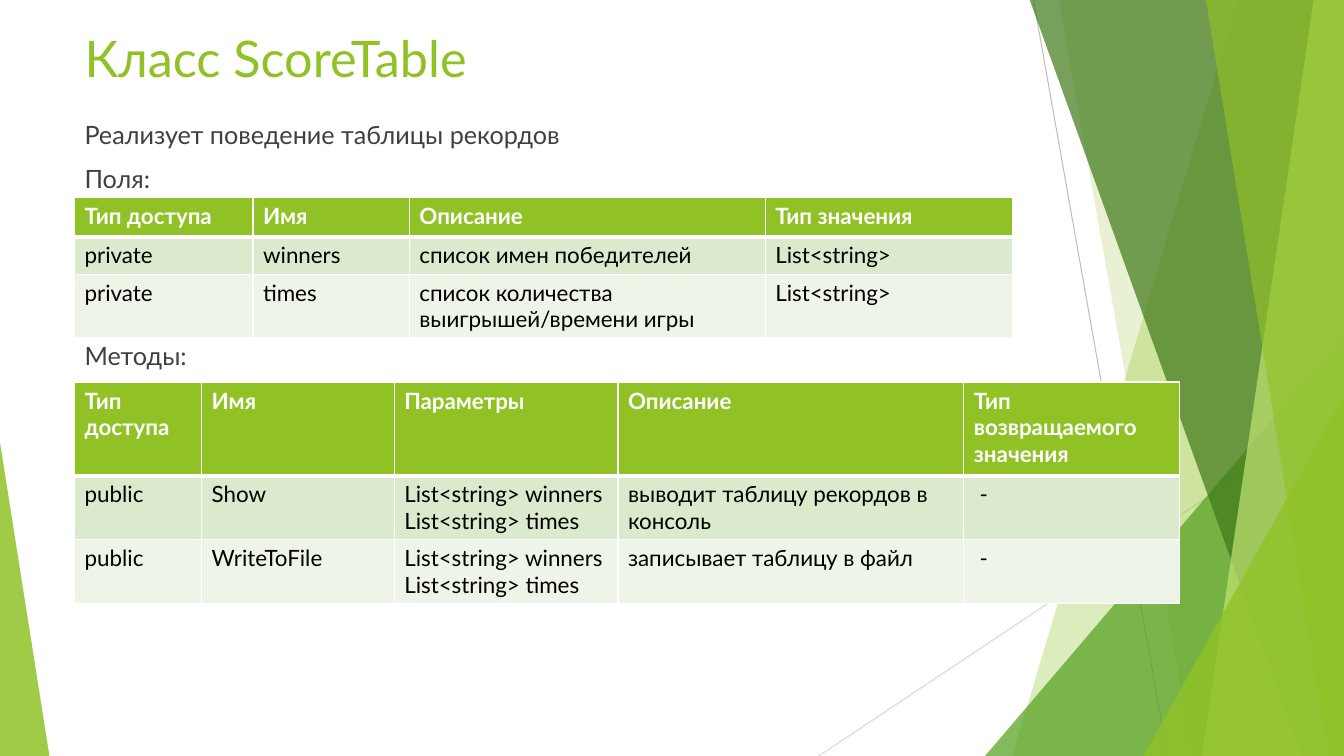
from lxml import etree
from pptx import Presentation
from pptx.dml.color import RGBColor
from pptx.enum import shapes, text
from pptx.oxml import ns
from pptx.util import Inches, Pt

THEME = {
    "font": "Lato",
    "accent": "90C226", "body": "404040", "white": "FFFFFF", "black": "000000",
    "bands": ["DBE9CD", "EEF4E8"],
    "title_size": 36, "body_size": 18, "table_size": 16,
    "border": 1, "header_border": 3,
}
WIDTH, HEIGHT = 13.33, 7.5
LEFT = 0.74

TITLE = [("Класс ScoreTable", 0)]
# Paragraph text and space before it in points; the last gap leaves room for the fields table
BODY = [("Реализует поведение таблицы рекордов", 0), ("Поля:", 10), ("Методы:", 105)]

FIELDS = {
    "top": 1.96,
    "columns": [1.77, 1.55, 3.53, 2.45],
    "heights": [0.39, 0.37, 0.63],
    "rows": [
        ["Тип доступа", "Имя", "Описание", "Тип значения"],
        ["private", "winners", "список имен победителей", "List<string>"],
        ["private", "times", "список количества выигрышей/времени игры", "List<string>"],
    ],
}
METHODS = {
    "top": 3.79,
    "columns": [1.26, 1.91, 2.22, 3.43, 2.14],
    "heights": [0.93, 0.63, 0.63],
    "rows": [
        ["Тип доступа", "Имя", "Параметры", "Описание", "Тип возвращаемого значения"],
        ["public", "Show", "List<string> winners List<string> times",
         "выводит таблицу рекордов в консоль", " -"],
        ["public", "WriteToFile", "List<string> winners\nList<string> times",
         "записывает таблицу в файл", " -"],
    ],
}

# Start, end, colour
RAYS = [((10.25, 0), (11.58, HEIGHT), "BFBFBF"), ((WIDTH, 4.03), (8.12, HEIGHT), "D9D9D9")]
# Back to front. Facet: top x, bottom x. Triangle: left, top, width, apex. Then colour, opacity %
DECOR = [
    ("facet", (12.28, 10.04), "90C226", 30),
    ("facet", (10.5, 11.83), "90C226", 20),
    ("triangle", (9.77, 3.33, 3.56, 1), "54A021", 72),
    ("facet", (10.21, 12.91), "3F7819", 70),
    ("facet", (13.03, 11.92), "C0E474", 70),
    ("facet", (11.96, 13.18), "90C226", 65),
    ("triangle", (11.34, 3.93, 1.99, 1), "90C226", 80),
    ("triangle", (0, 4.39, 0.49, 0), "90C226", 85),
]


def inches(*values):
    return [Inches(value) for value in values]


def add_ray(slide, start, end, color):
    ray = slide.shapes.add_connector(
        shapes.MSO_CONNECTOR.STRAIGHT, *inches(*start, *end))
    ray.line.color.rgb = RGBColor.from_string(color)
    ray.line.width = Pt(0.75)
    etree.SubElement(ray.element.spPr, ns.qn("a:effectLst"))


def add_facet(slide, top_x, bottom_x):
    """Four-sided outline that reaches the right edge of the slide."""
    builder = slide.shapes.build_freeform(*inches(top_x, -0.01), scale=1.0)
    corners = [(WIDTH, -0.01), (WIDTH, HEIGHT), (bottom_x, HEIGHT)]
    builder.add_line_segments([inches(*corner) for corner in corners], close=True)
    return builder.convert_to_shape()


def add_triangle(slide, left, top, width, apex):
    triangle = slide.shapes.add_shape(
        shapes.MSO_SHAPE.ISOSCELES_TRIANGLE, *inches(left, top, width, HEIGHT - top))
    triangle.adjustments[0] = apex
    return triangle


def paint(shape, color, opacity):
    shape.shadow.inherit = False
    shape.line.fill.background()
    shape.fill.solid()
    shape.fill.fore_color.rgb = RGBColor.from_string(color)
    color_node = shape.element.spPr.find(".//" + ns.qn("a:srgbClr"))
    etree.SubElement(color_node, ns.qn("a:alpha"), val=str(opacity * 1000))


def style_paragraph(paragraph, size, color, bold=False):
    values = {"name": THEME["font"], "size": Pt(size), "bold": bold}
    for name, value in values.items():
        setattr(paragraph.font, name, value)
    paragraph.font.color.rgb = RGBColor.from_string(color)


def add_text(slide, box, lines, size, color):
    frame = slide.shapes.add_textbox(*inches(*box)).text_frame
    frame.word_wrap = True
    frame.vertical_anchor = text.MSO_ANCHOR.TOP
    frame.text = "\n".join(line for line, _ in lines)
    for paragraph, (_, space) in zip(frame.paragraphs, lines):
        paragraph.space_before = Pt(space)
        style_paragraph(paragraph, size, color)


def add_borders(cell, widths):
    properties = cell._tc.get_or_add_tcPr()
    for side, width in widths.items():
        line = etree.SubElement(properties, ns.qn("a:ln" + side), w=str(Pt(width)))
        fill = etree.SubElement(line, ns.qn("a:solidFill"))
        etree.SubElement(fill, ns.qn("a:srgbClr"), val=THEME["white"])


def add_table(slide, content):
    rows, columns, heights = content["rows"], content["columns"], content["heights"]
    box = inches(LEFT, content["top"], sum(columns), sum(heights))
    table = slide.shapes.add_table(len(rows), len(columns), *box).table
    for column, width in zip(table.columns, columns):
        column.width = Inches(width)
    for index, (row, height) in enumerate(zip(table.rows, heights)):
        row.height = Inches(height)
        header = index == 0
        fill = THEME["accent"] if header else THEME["bands"][(index - 1) % 2]
        widths = dict.fromkeys("LRTB", THEME["border"])
        if index < 2:
            widths["B" if header else "T"] = THEME["header_border"]
        for cell, value in zip(row.cells, rows[index]):
            add_borders(cell, widths)
            cell.fill.solid()
            cell.fill.fore_color.rgb = RGBColor.from_string(fill)
            cell.text = value
            for paragraph in cell.text_frame.paragraphs:
                style_paragraph(paragraph, THEME["table_size"],
                                THEME["white" if header else "black"], header)


def main():
    presentation = Presentation()
    presentation.slide_width, presentation.slide_height = inches(WIDTH, HEIGHT)
    slide = presentation.slides.add_slide(presentation.slide_layouts[6])
    for ray in RAYS:
        add_ray(slide, *ray)
    builders = {"facet": add_facet, "triangle": add_triangle}
    for kind, geometry, color, opacity in DECOR:
        paint(builders[kind](slide, *geometry), color, opacity)
    add_text(slide, (LEFT, 0.22, 4.17, 0.79), TITLE, THEME["title_size"], THEME["accent"])
    add_text(slide, (LEFT, 1.13, 10.68, 5.7), BODY, THEME["body_size"], THEME["body"])
    for content in (FIELDS, METHODS):
        add_table(slide, content)
    presentation.save("out.pptx")


if __name__ == "__main__":
    main()
